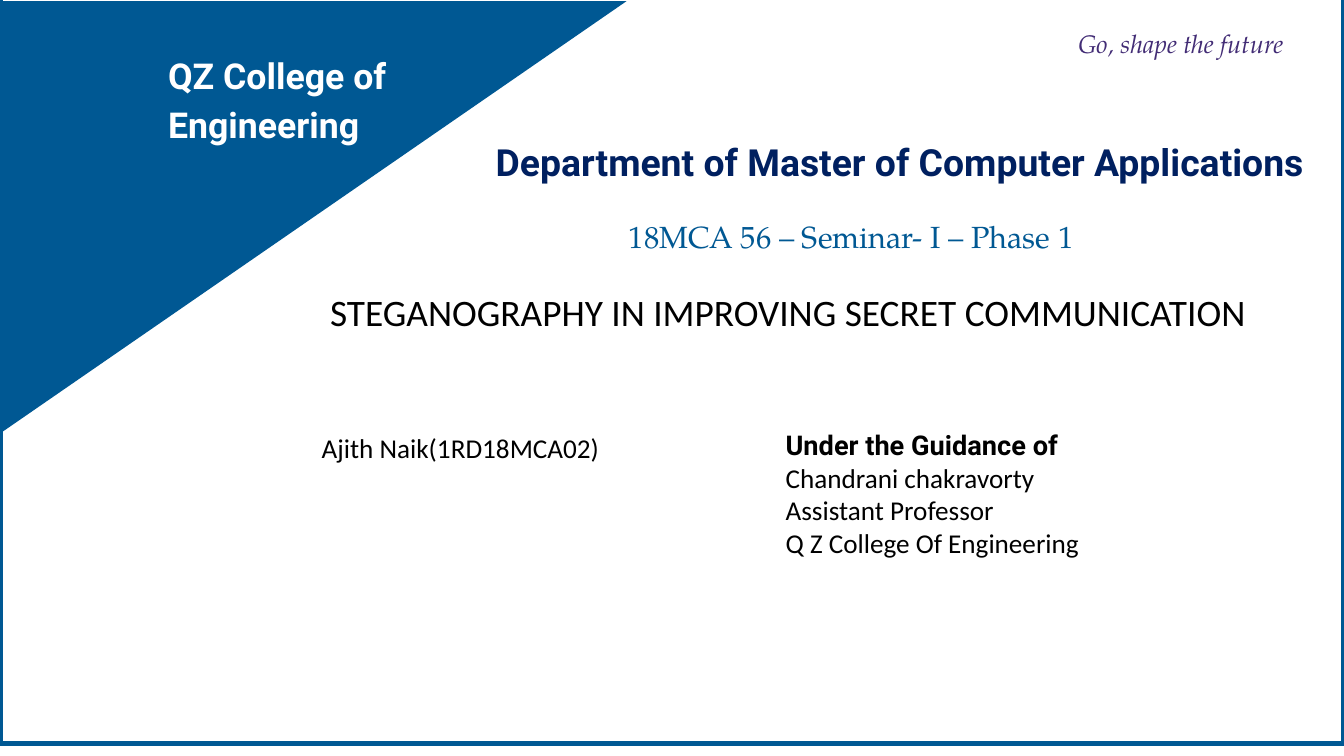
from dataclasses import dataclass

from pptx import Presentation
from pptx.dml.color import RGBColor
from pptx.enum.shapes import MSO_SHAPE
from pptx.enum.text import MSO_ANCHOR, MSO_AUTO_SIZE, PP_ALIGN
from pptx.shapes.autoshape import Shape
from pptx.slide import Slide
from pptx.util import Pt


@dataclass(frozen=True)
class Theme:
    blue: RGBColor = RGBColor(0x00, 0x58, 0x93)
    navy: RGBColor = RGBColor(0x00, 0x20, 0x60)
    purple: RGBColor = RGBColor(0x42, 0x2C, 0x75)
    black: RGBColor = RGBColor(0x00, 0x00, 0x00)
    white: RGBColor = RGBColor(0xFF, 0xFF, 0xFF)
    heading_font: str = "Roboto"
    body_font: str = "Calibri"
    serif_font: str = "TeX Gyre Pagella"
    title_size: float = 44
    college_size: float = 42
    course_size: float = 36
    body_size: float = 32
    motto_size: float = 30


THEME = Theme()
SLIDE_WIDTH, SLIDE_HEIGHT = 1583.28, 890.64


@dataclass(frozen=True)
class Style:
    font: str
    size: float
    color: RGBColor
    bold: bool = False
    italic: bool = False


BODY = Style(THEME.body_font, THEME.body_size, THEME.black)
BODY_HEADING = Style(THEME.heading_font, THEME.body_size, THEME.black, bold=True)


@dataclass(frozen=True)
class TextBlock:
    left: float
    top: float
    width: float
    height: float
    lines: tuple[str, ...]
    style: Style
    first_style: Style | None = None
    align: PP_ALIGN = PP_ALIGN.LEFT
    indent: float = 0.72
    line_spacing: float = 1.0
    space_before: float = 0


TITLE = TextBlock(
    388.08, 339.84, 1111.68, 54,
    ("STEGANOGRAPHY IN IMPROVING SECRET COMMUNICATION",),
    Style(THEME.body_font, THEME.title_size, THEME.black),
)

TEXT_BLOCKS = (
    TextBlock(
        197.28, 56.88, 300.24, 97.2, ("QZ College of", "Engineering"),
        Style(THEME.heading_font, THEME.college_size, THEME.white, bold=True),
        line_spacing=1.12, space_before=1,
    ),
    TextBlock(
        1269.36, 32.4, 267.84, 38.16, ("Go, shape the future",),
        Style(THEME.serif_font, THEME.motto_size, THEME.purple, italic=True),
    ),
    TextBlock(
        497.52, 163.44, 1039.68, 54,
        ("Department of Master of Computer Applications",),
        Style(THEME.heading_font, THEME.title_size, THEME.navy, bold=True),
        align=PP_ALIGN.RIGHT,
    ),
    TextBlock(
        233.28, 507.6, 617.76, 62.64, ("Ajith Naik(1RD18MCA02)",), BODY,
        align=PP_ALIGN.CENTER,
    ),
    TextBlock(
        852.48, 504, 647.28, 195.12,
        ("Under the Guidance of", "Chandrani chakravorty",
         "Assistant Professor", "Q Z College Of Engineering"),
        BODY, first_style=BODY_HEADING, indent=73,
    ),
    TextBlock(
        531.36, 256.32, 941.76, 44.64, ("18MCA 56 – Seminar- I – Phase 1",),
        Style(THEME.serif_font, THEME.course_size, THEME.blue),
        align=PP_ALIGN.CENTER,
    ),
)


def write_text(box: Shape, block: TextBlock) -> None:
    """Place the box, then fill and format its paragraphs."""
    box.left, box.top = Pt(block.left), Pt(block.top)
    box.width, box.height = Pt(block.width), Pt(block.height)
    frame = box.text_frame
    frame.text = "\n".join(block.lines)
    frame.word_wrap = True
    frame.auto_size = MSO_AUTO_SIZE.SHAPE_TO_FIT_TEXT
    frame.vertical_anchor = MSO_ANCHOR.TOP
    frame.margin_left, frame.margin_top = Pt(block.indent), Pt(0.72)
    frame.margin_right = frame.margin_bottom = 0
    for number, para in enumerate(frame.paragraphs):
        para.alignment = block.align
        para.line_spacing = block.line_spacing
        para.space_before = Pt(block.space_before if number else 0)
        style = block.first_style if number == 0 and block.first_style else block.style
        for span in para.runs:
            span.font.name = style.font
            span.font.size = Pt(style.size)
            span.font.color.rgb = style.color
            span.font.bold = style.bold
            span.font.italic = style.italic


def paint(shape: Shape, fill: RGBColor) -> None:
    shape.shadow.inherit = False
    shape.fill.solid()
    shape.fill.fore_color.rgb = fill


def add_border(page: Slide) -> Shape:
    border = page.shapes.add_shape(
        MSO_SHAPE.RECTANGLE, 0, Pt(-14.4), Pt(SLIDE_WIDTH), Pt(SLIDE_HEIGHT)
    )
    paint(border, THEME.white)
    border.line.color.rgb = THEME.blue
    border.line.width = Pt(6)
    return border


def add_corner(page: Slide) -> None:
    left, top, right, bottom = Pt(-0.72), Pt(1.44), Pt(738), Pt(511.2)
    builder = page.shapes.build_freeform(right, top)
    builder.add_line_segments([(left, top), (left, bottom)], close=True)
    corner = builder.convert_to_shape()
    paint(corner, THEME.blue)
    corner.line.fill.background()


def main() -> None:
    deck = Presentation()
    deck.slide_width, deck.slide_height = Pt(SLIDE_WIDTH), Pt(SLIDE_HEIGHT)
    page = deck.slides.add_slide(deck.slide_layouts.get_by_name("Title Only"))
    border = add_border(page)
    add_corner(page)
    title = page.shapes.title
    write_text(title, TITLE)
    border.element.addnext(title.element)  # lift the title above the filled border
    for block in TEXT_BLOCKS:
        write_text(page.shapes.add_textbox(0, 0, 0, 0), block)
    deck.save("out.pptx")


if __name__ == "__main__":
    main()
